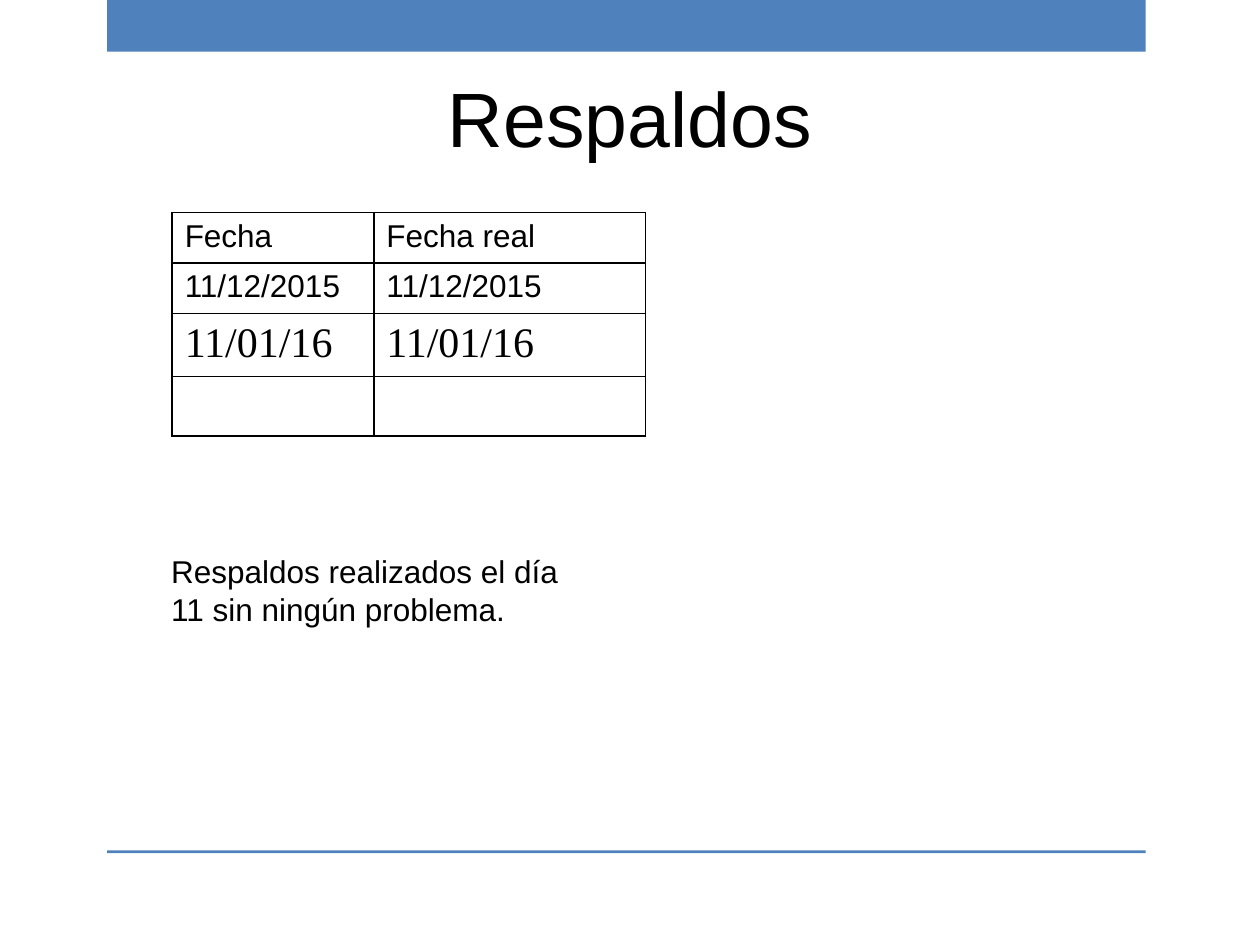
from lxml import etree
from pptx import Presentation
from pptx.dml.color import RGBColor
from pptx.enum import shapes, text
from pptx.oxml import ns
from pptx.util import Pt

BLUE = RGBColor(0x4F, 0x81, 0xBD)
BLACK = RGBColor(0, 0, 0)


def add_run(p, content, size, font="Arial"):
    r = p.add_run()
    r.text = content
    r.font.size = Pt(size)
    r.font.name = font
    r.font.color.rgb = BLACK


def add_border(cell, side):
    ln = etree.SubElement(cell._tc.get_or_add_tcPr(), ns.qn("a:" + side), w=str(Pt(1)))
    fill = etree.SubElement(ln, ns.qn("a:solidFill"))
    etree.SubElement(fill, ns.qn("a:srgbClr"), val=str(BLACK))


prs = Presentation()
prs.slide_width, prs.slide_height = Pt(720), Pt(540)
s = prs.slides.add_slide(prs.slide_layouts[6])

for top, height in ((0, 29.5), (486, 1.6)):
    sp = s.shapes.add_shape(shapes.MSO_SHAPE.RECTANGLE, Pt(61.2), Pt(top), Pt(593.5), Pt(height))
    sp.shadow.inherit = False
    sp.fill.solid()
    sp.fill.fore_color.rgb = BLUE
    sp.line.fill.background()

title = s.shapes.add_textbox(Pt(36), Pt(21.6), Pt(648), Pt(90))
tf = title.text_frame
tf.word_wrap = True
tf.vertical_anchor = text.MSO_ANCHOR.MIDDLE
tf.margin_left = tf.margin_right = tf.margin_top = tf.margin_bottom = 0
p = tf.paragraphs[0]
p.alignment = text.PP_ALIGN.CENTER
add_run(p, "Respaldos", 44)

rows = [
    (27.4, 18, "Arial", ("Fecha", "Fecha real")),
    (27.4, 18, "Arial", ("11/12/2015", "11/12/2015")),
    (34, 24, "Times New Roman", ("11/01/16", "11/01/16")),
    (34, 24, "Times New Roman", ("", "")),
]
table = s.shapes.add_table(4, 2, Pt(98.4), Pt(121.5), Pt(270.6), Pt(122.8)).table
table.first_row = False
table.horz_banding = False
for col, width in zip(table.columns, (115.2, 155.4)):
    col.width = Pt(width)
for row, (height, size, font, values) in zip(table.rows, rows):
    row.height = Pt(height)
    for cell, value in zip(row.cells, values):
        for side in ("lnL", "lnR", "lnT", "lnB"):
            add_border(cell, side)
        cell.fill.background()
        if value:
            add_run(cell.text_frame.paragraphs[0], value, size, font)

note = s.shapes.add_textbox(Pt(90.7), Pt(311.8), Pt(243.4), Pt(47.5))
tf = note.text_frame
tf.word_wrap = True
add_run(tf.paragraphs[0], "Respaldos realizados el día 11 sin ningún problema.", 18)

prs.save("out.pptx")
